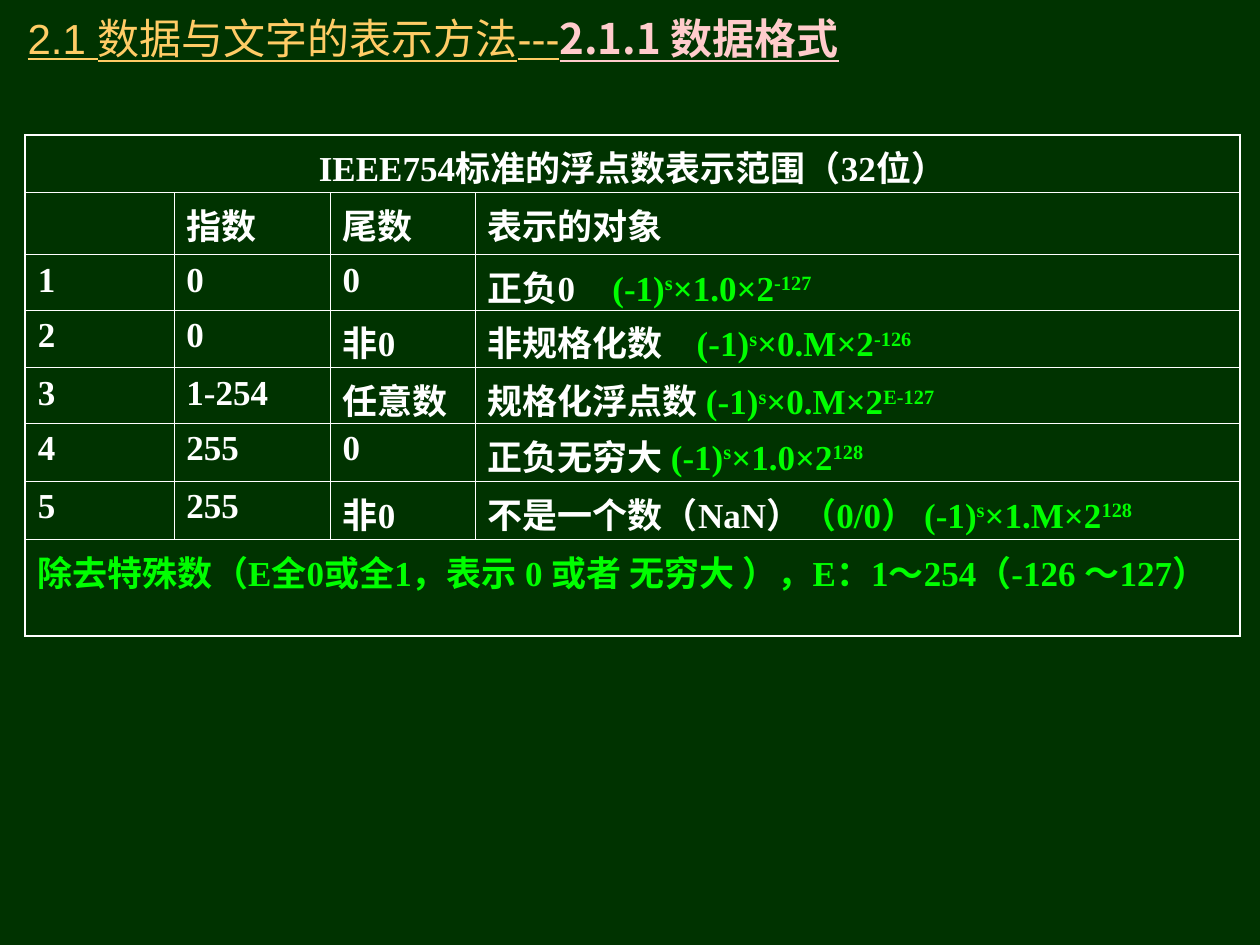
import pptx
import pptx.util
import pptx.dml.color
import pptx.enum.lang
import pptx.enum.text
import pptx.oxml
from pptx.oxml.ns import nsdecls

COLORS = {"board": "003300", "chalk": "FFFFFF", "formula": "00FF00",
          "chapter": "FFCC66", "section": "FFCCCC"}
WIDTH, HEIGHT = 10, 7.5
INNER_LINE, OUTER_LINE = 0.45, 1.08

BODY = {"size": pptx.util.Pt(20), "name": "Times New Roman", "bold": True,
        "language_id": pptx.enum.lang.MSO_LANGUAGE_ID.SIMPLIFIED_CHINESE}
HEADING = {**BODY, "size": pptx.util.Pt(24), "underline": True}

TITLE = [
    ("2.1 数据与文字的表示方法---", "chapter", {"name": "Arial", "bold": False}),
    ("2.1.1 数据格式", "section", {"name": "Noto Sans CJK SC"}),
]
CAPTION = "IEEE754标准的浮点数表示范围（32位）"
HEADERS = ["", "指数", "尾数", "表示的对象"]
# exponent, mantissa, object, lead of the formula, significand, power of two
RANGES = [
    ("0", "0", "正负0\t", "(-1)", "1.0", "-127"),
    ("0", "非0", "非规格化数\t", "(-1)", "0.M", "-126"),
    ("1-254", "任意数", "规格化浮点数 ", "(-1)", "0.M", "E-127"),
    ("255", "0", "正负无穷大 ", "(-1)", "1.0", "128"),
    ("255", "非0", "不是一个数（NaN）", "（0/0） (-1)", "1.M", "128"),
]
FORMULA_STOPS = {"正负0\t": 0.99, "非规格化数\t": 1.66}
NOTE = "除去特殊数（E全0或全1，表示 0 或者 无穷大 ），E：1～254（-126 ～127）"

COLUMN_WIDTHS = [1.18, 1.24, 1.15, 6.07]
ROW_HEIGHTS = [0.46, 0.49, 0.44, 0.46, 0.44, 0.46, 0.46, 0.77]


def rgb(color):
    return pptx.dml.color.RGBColor.from_string(COLORS[color])


def add_run(paragraph, text, color, formats, raised=False):
    run = paragraph.add_run()
    run.text = text
    for attribute, value in formats.items():
        setattr(run.font, attribute, value)
    run.font.color.rgb = rgb(color)
    if raised:
        run.font._element.set("baseline", "30000")


def add_tab_stop(paragraph, inches):
    paragraph._p.get_or_add_pPr().append(pptx.oxml.parse_xml(
        f'<a:tabLst {nsdecls("a")}>'
        f'<a:tab pos="{pptx.util.Inches(inches)}" algn="l"/></a:tabLst>'))


def set_borders(cell, row, column):
    """Draw all four sides, heavier on the outer edge of the table."""
    outer = {"L": column == 0, "R": column == len(COLUMN_WIDTHS) - 1,
             "T": row == 0, "B": row == len(ROW_HEIGHTS) - 1}
    if row in (0, len(ROW_HEIGHTS) - 1):
        outer["L"] = outer["R"] = True
    properties = cell._tc.get_or_add_tcPr()
    for place, (side, heavy) in enumerate(outer.items()):
        width = pptx.util.Pt(OUTER_LINE if heavy else INNER_LINE)
        properties.insert(place, pptx.oxml.parse_xml(
            f'<a:ln{side} {nsdecls("a")} w="{width}"><a:solidFill>'
            f'<a:srgbClr val="{COLORS["chalk"]}"/></a:solidFill></a:ln{side}>'))


def add_title(slide):
    box = slide.shapes.add_textbox(
        *map(pptx.util.Inches, (0.12, 0.05, WIDTH - 0.31, 0.5)))
    frame = box.text_frame
    frame.word_wrap = True
    frame.vertical_anchor = pptx.enum.text.MSO_ANCHOR.MIDDLE
    for text, color, formats in TITLE:
        add_run(frame.paragraphs[0], text, color, {**HEADING, **formats})


def cell_runs():
    """Rows of cells, each cell a list of (text, color, raised)."""
    def plain(text, color="chalk"):
        return [(text, color, False)] if text else []

    rows = [[plain(CAPTION)], [plain(header) for header in HEADERS]]
    for number, (exponent, mantissa, meaning, lead, factor, power) in enumerate(RANGES, 1):
        formula = [(lead, "formula", False), ("s", "formula", True),
                   (f"×{factor}×2", "formula", False), (power, "formula", True)]
        rows.append([plain(str(number)), plain(exponent), plain(mantissa),
                     plain(meaning) + formula])
    return rows + [[plain(NOTE, "formula")]]


def add_range_table(slide):
    table = slide.shapes.add_table(
        len(ROW_HEIGHTS), len(COLUMN_WIDTHS),
        *map(pptx.util.Inches, (0.2, 1.07, sum(COLUMN_WIDTHS), sum(ROW_HEIGHTS)))).table
    table.first_row = table.horz_banding = False
    for column, width in zip(table.columns, COLUMN_WIDTHS):
        column.width = pptx.util.Inches(width)
    for row, height in zip(table.rows, ROW_HEIGHTS):
        row.height = pptx.util.Inches(height)

    for row in range(len(ROW_HEIGHTS)):
        for column in range(len(COLUMN_WIDTHS)):
            cell = table.cell(row, column)
            cell.fill.background()
            set_borders(cell, row, column)

    for row, cells in enumerate(cell_runs()):
        if len(cells) == 1:
            table.cell(row, 0).merge(table.cell(row, len(COLUMN_WIDTHS) - 1))
        for column, runs in enumerate(cells):
            paragraph = table.cell(row, column).text_frame.paragraphs[0]
            if runs and runs[0][0] in FORMULA_STOPS:
                add_tab_stop(paragraph, FORMULA_STOPS[runs[0][0]])
            for text, color, raised in runs:
                add_run(paragraph, text, color, BODY, raised)
    table.cell(0, 0).text_frame.paragraphs[0].alignment = pptx.enum.text.PP_ALIGN.CENTER


def main():
    deck = pptx.Presentation()
    deck.slide_width = pptx.util.Inches(WIDTH)
    deck.slide_height = pptx.util.Inches(HEIGHT)
    slide = deck.slides.add_slide(deck.slide_layouts[6])
    slide.background.fill.solid()
    slide.background.fill.fore_color.rgb = rgb("board")
    add_title(slide)
    add_range_table(slide)
    deck.save("out.pptx")


if __name__ == "__main__":
    main()
